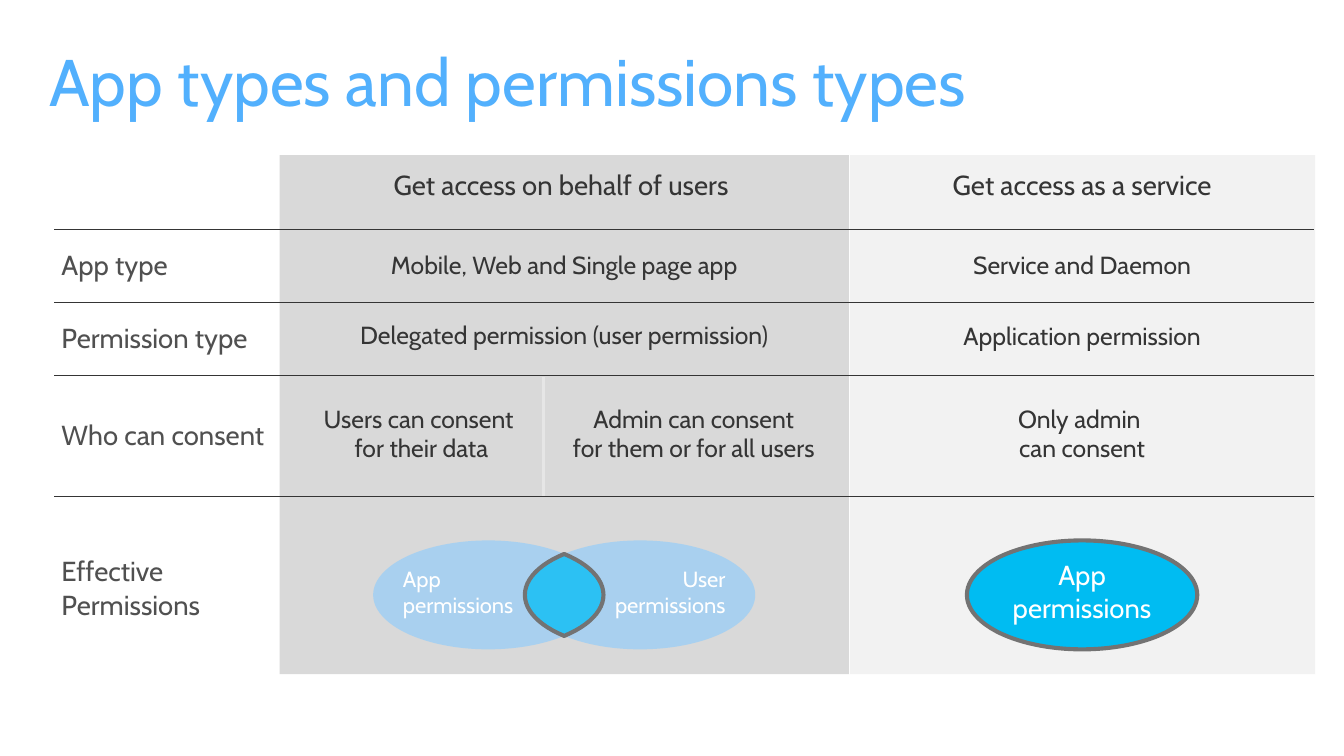
from dataclasses import dataclass
from math import acos, cos, sin

from lxml.etree import SubElement
from pptx import Presentation
from pptx.dml.color import RGBColor
from pptx.enum.shapes import MSO_CONNECTOR as Connector, MSO_SHAPE as Preset
from pptx.enum.text import MSO_ANCHOR as Anchor, MSO_AUTO_SIZE as AutoSize, PP_ALIGN as Align
from pptx.oxml.ns import qn
from pptx.util import Cm, Pt


@dataclass(frozen=True)
class Theme:
    font: str = "Cabin"
    title: str = "52B0FD"
    ink: str = "353535"
    row_label: str = "505050"
    white: str = "FFFFFF"
    user_band: str = "D9D9D9"
    service_band: str = "F2F2F2"
    divider: str = "E6E6E6"
    pale_blue: str = "89CBFF"
    blue: str = "00BCF2"
    outline: str = "737373"
    title_size: float = 48
    large: float = 20
    body: float = 18
    small: float = 16


@dataclass(frozen=True)
class Label:
    """Text box placed by its horizontal centre; lengths in cm."""
    lines: tuple[str, ...]
    centre: float
    top: float
    width: float
    height: float = 1.6
    size: float = 18
    color: str = "353535"
    align: Align = Align.CENTER
    inset: tuple[float, float] = (0.51, 0.41)
    spacing: float = 1.0
    after: float = 0
    wrap: bool = True
    fit: bool = True


@dataclass(frozen=True)
class Oval:
    centre: float
    color: str
    opacity: int = 100
    outline: str | None = None


THEME = Theme()
USERS, SERVICE = 14.5, 27.81            # column centres
TIGHT = (0.25, 0.13)
COLUMNS = (5.79, 6.45, 8.15, 11.99)
ROWS = (1.85, 1.88, 1.88, 3.1, 4.75)
ROW_LABELS = ((), ("App type",), ("Permission type",), ("Who can consent",),
              ("Effective", "Permissions"))
SPLIT_ROW = 3
RADIUS_X, RADIUS_Y, OVAL_Y = 2.96, 1.4, 15.29
VENN_OFFSET = 1.95

TITLE = Label(("App types and permissions types",), 17.27, 1.02, 32.51, 2.54, THEME.title_size,
              THEME.title, Align.LEFT, (0.25, 0.25), 0.9, fit=False)
HEADING = dict(top=4.04, size=THEME.large, spacing=0.9, after=6, wrap=False)
CONSENT = dict(top=10.24, height=1.8, inset=TIGHT)
VENN = dict(top=14.4, width=3.45, height=1.63, size=THEME.small, color=THEME.white, inset=TIGHT)
LABELS = (
    TITLE,
    Label(("Get access on behalf of users ",), USERS, width=10.57, **HEADING),
    Label(("Get access as a service",), SERVICE, width=8.28, **HEADING),
    Label(("Mobile, Web and Single page app",), USERS, 6.05, 10.36, wrap=False),
    Label(("Service and Daemon",), SERVICE, 6.05, 8.94),
    Label(("Delegated permission (user permission)",), USERS, 7.85, 12.6),
    Label(("Application permission",), SERVICE, 7.87, 8.94),
    Label(("Users can consent ", "for their data"), 10.83, width=6.88, **CONSENT),
    Label(("Admin can consent", "for them or for all users"), 17.83, width=7.77, **CONSENT),
    Label(("Only admin ", "can consent"), SERVICE, width=3.86, wrap=False, **CONSENT),
)


def rgb(code: str) -> RGBColor:
    return RGBColor.from_string(code)


def paint(shape, color: str, opacity: int = 100, outline: str | None = None) -> None:
    shape.shadow.inherit = False
    shape.fill.solid()
    shape.fill.fore_color.rgb = rgb(color)
    if opacity < 100:
        solid = shape.fill._xPr.find(qn("a:solidFill"))
        SubElement(solid[0], qn("a:alpha")).set("val", str(opacity * 1000))
    if outline:
        shape.line.color.rgb = rgb(outline)
        shape.line.width = Pt(3)
    else:
        shape.line.fill.background()


def write(frame, lines: tuple[str, ...], size: float, color: str, align: Align = Align.LEFT,
          spacing: float = 1.0, after: float = 0) -> None:
    for index, line in enumerate(lines):
        paragraph = frame.add_paragraph() if index else frame.paragraphs[0]
        paragraph.alignment = align
        paragraph.line_spacing = spacing
        paragraph.space_after = Pt(after)
        run = paragraph.add_run()
        run.text = line
        run.font.name, run.font.size = THEME.font, Pt(size)
        run.font.color.rgb = rgb(color)


def add_label(shapes, label: Label) -> None:
    box = shapes.add_textbox(Cm(label.centre - label.width / 2), Cm(label.top),
                             Cm(label.width), Cm(label.height))
    frame = box.text_frame
    frame.word_wrap = label.wrap
    frame.auto_size = AutoSize.SHAPE_TO_FIT_TEXT if label.fit else AutoSize.NONE
    frame.margin_left = frame.margin_right = Cm(label.inset[0])
    frame.margin_top = frame.margin_bottom = Cm(label.inset[1])
    write(frame, label.lines, label.size, label.color, label.align, label.spacing, label.after)


def add_band(shapes, left: float, width: float, color: str) -> None:
    paint(shapes.add_shape(Preset.RECTANGLE, Cm(left), Cm(3.99), Cm(width), Cm(13.34)), color)


def add_oval(shapes, oval: Oval) -> None:
    shape = shapes.add_shape(Preset.OVAL, Cm(oval.centre - RADIUS_X), Cm(OVAL_Y - RADIUS_Y),
                             Cm(2 * RADIUS_X), Cm(2 * RADIUS_Y))
    paint(shape, oval.color, oval.opacity, oval.outline)


def add_overlap(shapes, steps: int = 24) -> None:
    """Outline the area shared by the two Venn ovals."""
    reach = acos(VENN_OFFSET / RADIUS_X)
    points = []
    for side in (1, -1):
        for step in range(steps):
            angle = reach * (2 * step / steps - 1)
            x = USERS + side * (RADIUS_X * cos(angle) - VENN_OFFSET)
            points.append((Cm(x), Cm(OVAL_Y + side * RADIUS_Y * sin(angle))))
    builder = shapes.build_freeform(*points[0], scale=1.0)
    builder.add_line_segments(points[1:], close=True)
    paint(builder.convert_to_shape(), THEME.blue, 70, THEME.outline)


def set_borders(cell, top: bool, bottom: bool) -> None:
    properties = cell._tc.get_or_add_tcPr()
    for side, visible in (("L", False), ("R", False), ("T", top), ("B", bottom)):
        line = SubElement(properties, qn(f"a:ln{side}"), w=str(Pt(0.5)))
        if visible:
            SubElement(SubElement(line, qn("a:solidFill")), qn("a:srgbClr")).set("val", THEME.ink)
        else:
            SubElement(line, qn("a:noFill"))


def add_grid(shapes) -> None:
    table = shapes.add_table(len(ROWS), len(COLUMNS), Cm(1.4), Cm(4.04),
                             Cm(sum(COLUMNS)), Cm(sum(ROWS))).table
    table.first_row = table.horz_banding = False
    for column, width in zip(table.columns, COLUMNS):
        column.width = Cm(width)
    for index, (row, height) in enumerate(zip(table.rows, ROWS)):
        row.height = Cm(height)
        for cell in row.cells:
            set_borders(cell, top=index > 0, bottom=index < len(ROWS) - 1)
            cell.fill.background()
            cell.vertical_anchor = Anchor.MIDDLE
            cell.margin_left = cell.margin_right = Cm(0.18)
            cell.margin_top = cell.margin_bottom = Cm(0.03)
        write(table.cell(index, 0).text_frame, ROW_LABELS[index], THEME.large, THEME.row_label)
        if index != SPLIT_ROW:
            table.cell(index, 1).merge(table.cell(index, 2))


def main() -> None:
    deck = Presentation()
    deck.slide_width, deck.slide_height = Cm(34.54), Cm(19.43)
    shapes = deck.slides.add_slide(deck.slide_layouts[6]).shapes

    # Column bands, grid and text
    add_band(shapes, 21.84, 11.96, THEME.service_band)
    add_band(shapes, 7.19, 14.63, THEME.user_band)
    add_grid(shapes)
    for label in LABELS:
        add_label(shapes, label)

    # Divider between user and admin consent
    divider = shapes.add_connector(Connector.STRAIGHT, Cm(13.97), Cm(9.7), Cm(13.97), Cm(12.75))
    divider.line.color.rgb = rgb(THEME.divider)
    divider.line.width = Pt(2.25)
    SubElement(divider._element.spPr, qn("a:effectLst"))

    # Venn diagram of delegated permissions
    venn = shapes.add_group_shape().shapes
    for name, side, align in (("App", -1, Align.LEFT), ("User", 1, Align.RIGHT)):
        add_oval(venn, Oval(USERS + side * VENN_OFFSET, THEME.pale_blue, 60))
        add_label(venn, Label((f"{name} permissions",), USERS + side * 2.67, align=align, **VENN))
    add_overlap(venn)

    # Application permissions
    application = shapes.add_group_shape().shapes
    add_oval(application, Oval(SERVICE, THEME.blue, outline=THEME.outline))
    add_label(application, Label(("App permissions",), SERVICE, 14.22, 4.24, 1.96, THEME.large,
                                 THEME.white, inset=TIGHT))
    deck.save("out.pptx")


if __name__ == "__main__":
    main()
